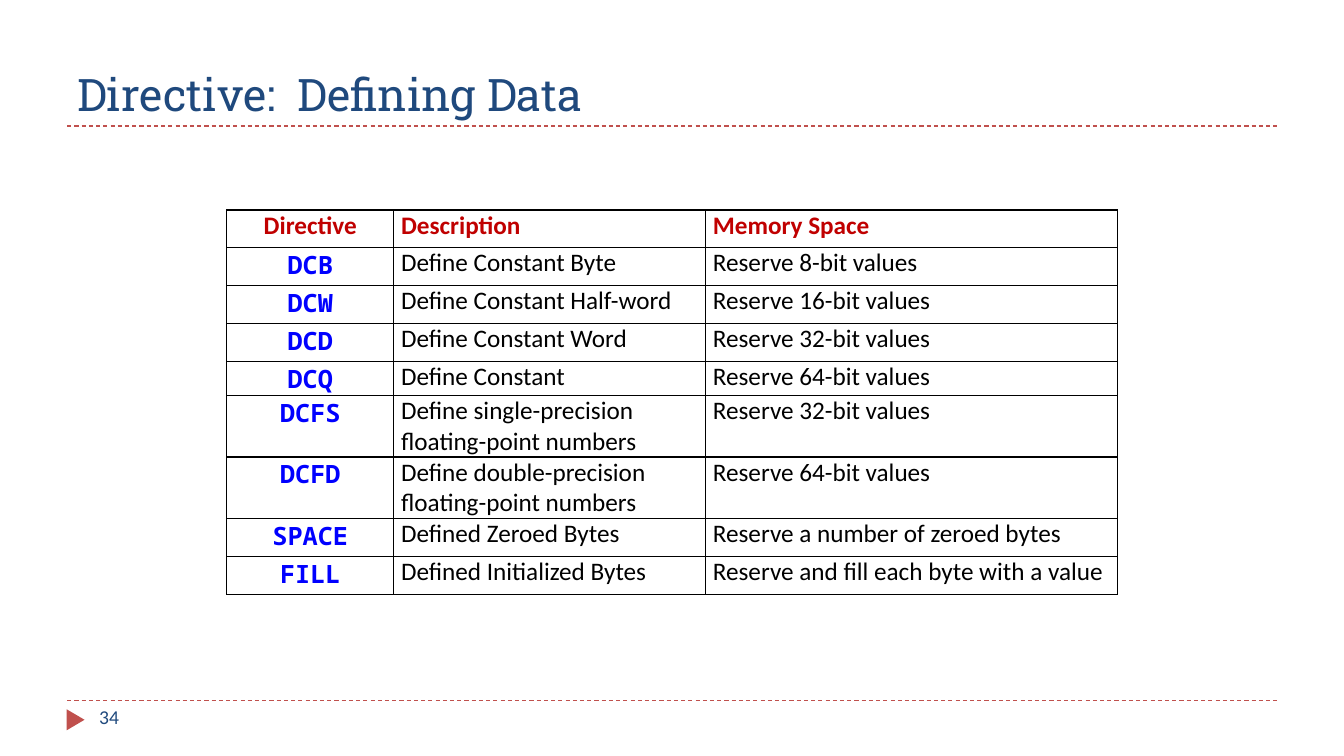
from dataclasses import dataclass

from lxml import etree
from pptx import Presentation
from pptx import util as u
from pptx.dml.color import RGBColor
from pptx.enum import dml, shapes, text
from pptx.oxml import ns


@dataclass(frozen=True)
class Theme:
    navy: str = "1F497D"
    accent: str = "C0504D"
    header: str = "C00000"
    code: str = "0000FF"
    ink: str = "000000"
    title_font: str = "Roboto Slab"
    body_font: str = "Calibri"
    code_font: str = "Noto Sans Mono"
    title_size: int = 32
    table_size: int = 18
    number_size: int = 14
    rule_width: float = 0.75
    border_width: int = 1


THEME = Theme()
PX_PER_INCH = 96

DIRECTIVES = [
    ("Directive", "Description", "Memory Space"),
    ("DCB", "Define Constant Byte", "Reserve 8-bit values"),
    ("DCW", "Define Constant Half-word", "Reserve 16-bit values"),
    ("DCD", "Define Constant Word", "Reserve 32-bit values"),
    ("DCQ", "Define Constant", "Reserve 64-bit values"),
    ("DCFS", "Define single-precision floating-point numbers", "Reserve 32-bit values"),
    ("DCFD", "Define double-precision floating-point numbers", "Reserve 64-bit values"),
    ("SPACE", "Defined Zeroed Bytes", "Reserve a number of zeroed bytes"),
    ("FILL", "Defined Initialized Bytes", "Reserve and fill each byte with a value"),
]
COLUMN_WIDTHS = [159, 297, 392]
ROW_HEIGHTS = [36, 36, 36, 36, 32, 58, 58, 36, 36]


def px(length):
    return u.Emu(length * 914400 // PX_PER_INCH)


def add_run(paragraph, words, font, size, color, bold=False):
    run = paragraph.add_run()
    run.text = words
    run.font.name = font
    run.font.size = u.Pt(size)
    run.font.bold = bold
    run.font.color.rgb = RGBColor.from_string(color)


def add_rule(slide, left, top, width):
    rule = slide.shapes.add_connector(
        shapes.MSO_CONNECTOR.STRAIGHT, px(left), px(top), px(left + width), px(top))
    rule.line.color.rgb = RGBColor.from_string(THEME.accent)
    rule.line.width = u.Pt(THEME.rule_width)
    rule.line.dash_style = dml.MSO_LINE.DASH
    etree.SubElement(rule._element.spPr, ns.qn("a:effectLst"))


def add_title(slide, left, top, width, height, words):
    title = slide.shapes.title
    title.left, title.top, title.width, title.height = map(px, (left, top, width, height))
    frame = title.text_frame
    frame.auto_size = text.MSO_AUTO_SIZE.NONE
    frame.vertical_anchor = text.MSO_ANCHOR.BOTTOM
    paragraph = frame.paragraphs[0]
    paragraph.alignment = text.PP_ALIGN.LEFT
    add_run(paragraph, words, THEME.title_font, THEME.title_size, THEME.navy)
    add_rule(slide, left, top + height, width)


def add_footer(slide, left, top, width, number):
    add_rule(slide, left, top, width)

    # Right-pointing marker
    marker = slide.shapes.add_shape(
        shapes.MSO_SHAPE.ISOSCELES_TRIANGLE, px(left - 2), px(top + 10), px(20), px(17))
    marker.rotation = 90
    marker.shadow.inherit = False
    marker.fill.solid()
    marker.fill.fore_color.rgb = RGBColor.from_string(THEME.accent)
    marker.line.fill.background()

    # Page number
    box = slide.shapes.add_textbox(px(left + 21), px(top), px(277), px(38))
    box.text_frame.word_wrap = True
    add_run(box.text_frame.paragraphs[0], number,
            THEME.body_font, THEME.number_size, THEME.navy)


def add_borders(cell):
    properties = cell._tc.get_or_add_tcPr()
    for position, side in enumerate(("lnL", "lnR", "lnT", "lnB")):
        border = etree.Element(ns.qn(f"a:{side}"), w=str(u.Pt(THEME.border_width)))
        fill = etree.SubElement(border, ns.qn("a:solidFill"))
        etree.SubElement(fill, ns.qn("a:srgbClr"), val=THEME.ink)
        properties.insert(position, border)


def fill_cell(cell, words, is_header, is_code):
    cell.fill.background()
    cell.margin_left = cell.margin_right = px(7)
    cell.margin_top = cell.margin_bottom = 0
    add_borders(cell)
    paragraph = cell.text_frame.paragraphs[0]
    paragraph.alignment = text.PP_ALIGN.CENTER if is_code else text.PP_ALIGN.LEFT
    font, color = THEME.body_font, THEME.ink
    if is_header:
        color = THEME.header
    elif is_code:
        font, color = THEME.code_font, THEME.code
    add_run(paragraph, words, font, THEME.table_size, color, bold=is_header or is_code)


def add_directive_table(slide, left, top):
    table = slide.shapes.add_table(
        len(DIRECTIVES), len(COLUMN_WIDTHS), px(left), px(top),
        px(sum(COLUMN_WIDTHS)), px(sum(ROW_HEIGHTS))).table
    table.horz_banding = False
    for column, width in zip(table.columns, COLUMN_WIDTHS):
        column.width = px(width)
    for row_index, (row, height) in enumerate(zip(table.rows, ROW_HEIGHTS)):
        row.height = px(height)
        for column_index, cell in enumerate(row.cells):
            fill_cell(cell, DIRECTIVES[row_index][column_index],
                      is_header=row_index == 0, is_code=column_index == 0)


def main():
    presentation = Presentation()
    presentation.slide_width, presentation.slide_height = px(1280), px(720)
    slide = presentation.slides.add_slide(presentation.slide_layouts[5])
    add_title(slide, 64, 16, 1152, 104, "Directive:  Defining Data")
    add_directive_table(slide, 216, 200)
    add_footer(slide, 64, 667, 1152, "34")
    presentation.save("out.pptx")


if __name__ == "__main__":
    main()
